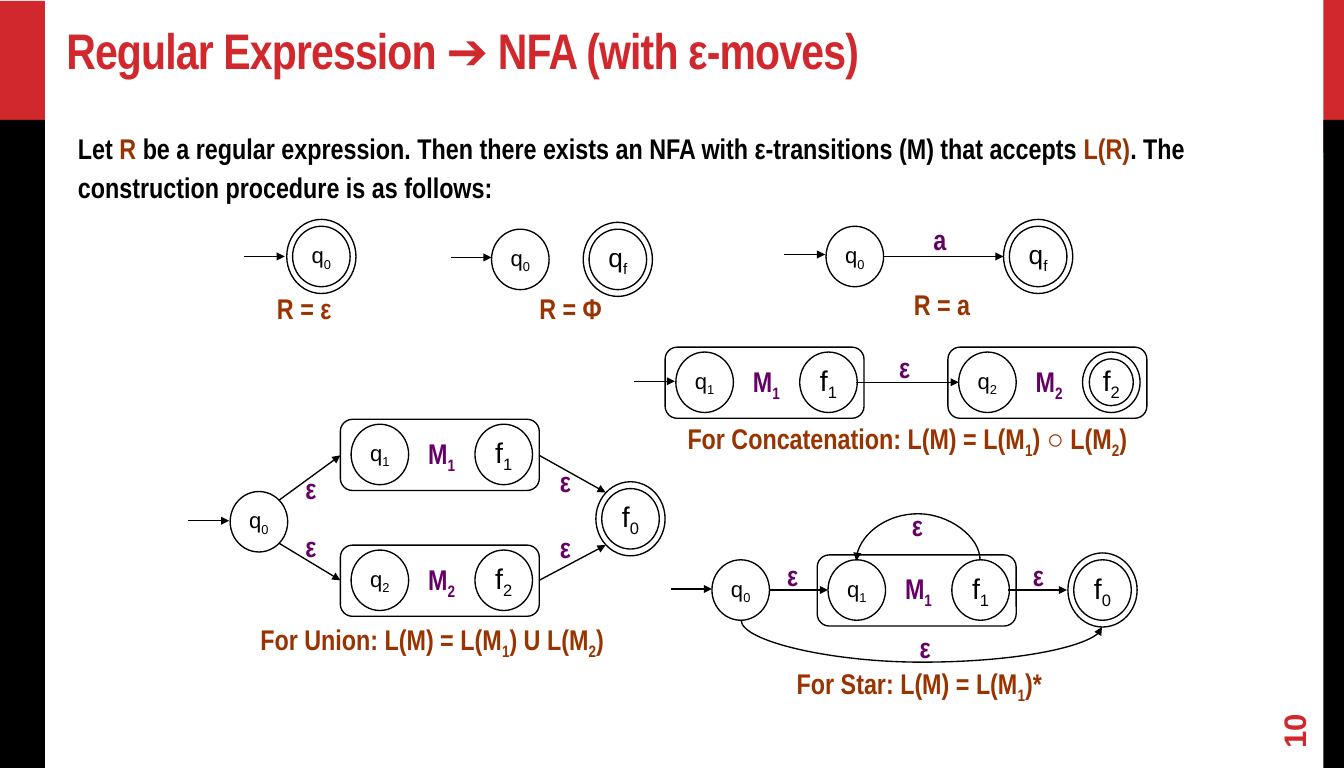
import pptx
import pptx.util
import pptx.dml.color
import pptx.enum.shapes
import pptx.enum.text
import pptx.oxml
import pptx.oxml.ns

Inches = pptx.util.Inches
SHAPES = pptx.enum.shapes.MSO_SHAPE
CONNECTORS = pptx.enum.shapes.MSO_CONNECTOR
ALIGN = pptx.enum.text.PP_ALIGN
ANCHOR = pptx.enum.text.MSO_ANCHOR

THEME = {
    "red": "D1282E", "black": "000000", "brown": "993300", "purple": "660066",
    "narrow": "Arial Narrow", "sans": "Arial",
    "title": 36.9, "body": 21, "page": 23, "line": 1,
    "start": 16.3, "final": 19.4, "large": 21,
}

# Content: "_" lowers the next character, "|" switches the accent colour
TITLE = "Regular Expression ➔ NFA (with ε-moves)"
INTRO = ("Let |R |be a regular expression. Then there exists an NFA with ε-transitions (M) "
         "that accepts |L(R)|. The construction procedure is as follows:")
PAGE_NUMBER = "10"

SIDEBARS = [(13.57, 0, 0.22), (0, 0.01, 0.46)]  # left, top, width
# label, left, top, type size, mark of acceptance
STATES = [
    ("q_0", 3, 2.32, "start", "outer"),
    ("q_0", 5.04, 2.35, "start", None), ("q_f", 6.04, 2.35, "final", "outer"),
    ("q_0", 8.47, 2.32, "start", None), ("q_f", 10.35, 2.32, "final", "outer"),
    ("q_0", 2.36, 5.04, "start", None), ("f_0", 6.17, 5.01, "large", "outer"),
    ("q_0", 7.3, 5.74, "start", None), ("f_0", 11.01, 5.74, "large", "outer"),
]
# number, left, top, mark of acceptance on the last state
MACHINES = [
    (1, 3.49, 4.3, None), (2, 3.49, 5.59, None),
    (1, 6.82, 3.56, None), (2, 9.72, 3.56, "inner"),
    (1, 8.38, 5.69, None),
]
ENTRIES = [(2.5, 2.63), (4.62, 2.64), (8.04, 2.61), (1.93, 5.34), (6.5, 3.91), (6.88, 6.04)]
TRANSITIONS = [
    (9.06, 2.63, 10.29, 2.63),
    (2.86, 5.13, 3.49, 4.67), (2.86, 5.57, 3.49, 5.95),
    (5.53, 4.67, 6.21, 5.05), (5.53, 5.95, 6.21, 5.59),
    (8.78, 3.92, 9.83, 3.92),
    (7.89, 6.05, 8.49, 6.05), (10.34, 6.05, 10.94, 6.05),
]
# start, end, downward bow
LOOPS = [((10.05, 5.74), (8.78, 5.75), -0.48), ((7.6, 6.36), (11.3, 6.43), 0.43)]
EDGE_LABELS = [("a", 9.48, 2.23, 0.34)] + [
    ("ε", left, top, 0.32) for left, top in [
        (3.04, 4.78), (3.04, 5.38), (5.65, 4.71), (5.65, 5.39), (9.13, 3.54),
        (7.98, 5.67), (9.26, 5.16), (10.5, 5.67), (9.34, 6.41)]
]
CAPTIONS = [
    ("R = ε", 2.75, 2.94, 0.69), ("R = Φ", 5.44, 2.94, 0.77), ("R = a", 9.28, 2.89, 0.71),
    ("For Union: L(M) = L(M_1) U L(M_2)", 2.58, 6.33, 3.75),
    ("For Concatenation: L(M) = L(M_1) ○ L(M_2)", 6.96, 4.27, 4.73),
    ("For Star: L(M) = L(M_1)*", 8.08, 6.78, 2.73),
]

SLIDE_HEIGHT = 63 / 8
SLIDE_WIDTH = SLIDE_HEIGHT * 7 / 4
STATE_SIZE = (0.59, 0.62)
RING_INSETS = {"outer": -0.06, "inner": 0.07}
LABEL_HEIGHT = 0.46
ENTRY_LENGTH = 0.42
# left, top, right, bottom
LABEL_INSETS = (0.09, 0.05, 0.02, 0.05)
BODY_INSETS = (0.11, 0.06, 0.11, 0.06)

presentation = pptx.Presentation()
presentation.slide_width = Inches(SLIDE_WIDTH)
presentation.slide_height = Inches(SLIDE_HEIGHT)
slide = presentation.slides.add_slide(presentation.slide_layouts[6])


def rgb(name):
    return pptx.dml.color.RGBColor.from_string(THEME[name])


def write(shape, text, size="body", font="narrow", color="black", accent="brown", bold=True,
          align=ALIGN.LEFT, anchor=ANCHOR.TOP, wrap=False, insets=LABEL_INSETS, spacing=None):
    frame = shape.text_frame
    frame.word_wrap = wrap
    frame.vertical_anchor = anchor
    (frame.margin_left, frame.margin_top,
     frame.margin_right, frame.margin_bottom) = map(Inches, insets)
    paragraph = frame.paragraphs[0]
    paragraph.alignment = align

    def add_run(words, tint, lowered=False):
        if not words:
            return
        run = paragraph.add_run()
        run.text = words
        run.font.name, run.font.bold = THEME[font], bold
        run.font.size = pptx.util.Pt(THEME[size])
        run.font.color.rgb = rgb(tint)
        properties = run._r.get_or_add_rPr()
        if lowered:
            properties.set("baseline", "-25000")
        if spacing:
            properties.set("spc", str(spacing))

    for index, part in enumerate(text.split("|")):
        tint = accent if index % 2 else color
        first, *lowered_parts = part.split("_")
        add_run(first, tint)
        for piece in lowered_parts:
            add_run(piece[0], tint, lowered=True)
            add_run(piece[1:], tint)
    return paragraph


def add_text(text, left, top, width, height=LABEL_HEIGHT, **text_format):
    box = slide.shapes.add_textbox(Inches(left), Inches(top), Inches(width), Inches(height))
    return box, write(box, text, **text_format)


def add_shape(kind, left, top, width, height, fill=None):
    shape = slide.shapes.add_shape(kind, Inches(left), Inches(top), Inches(width), Inches(height))
    shape.shadow.inherit = False
    if fill:
        shape.fill.solid()
        shape.fill.fore_color.rgb = rgb(fill)
        shape.line.fill.background()
    else:
        shape.fill.background()
        shape.line.color.rgb = rgb("black")
        shape.line.width = pptx.util.Pt(THEME["line"])
    return shape


def add_state(label, left, top, size, ring=None):
    width, height = STATE_SIZE
    state = add_shape(SHAPES.OVAL, left, top, width, height)
    write(state, label, size=size, font="sans", bold=False, align=ALIGN.CENTER,
          anchor=ANCHOR.MIDDLE, insets=(0, 0, 0, 0))
    if ring:
        inset = RING_INSETS[ring]
        add_shape(SHAPES.OVAL, left + inset, top + inset - 0.01 * (ring == "outer"),
                  width - 2 * inset, height - 2 * inset + 0.02 * (ring == "outer"))


def add_machine(number, left, top, ring):
    box = add_shape(SHAPES.ROUNDED_RECTANGLE, left, top, 2.04, 0.73)
    box.adjustments[0] = 0.17
    add_state(f"q_{number}", left + 0.11, top + 0.05, "start")
    add_state(f"f_{number}", left + 1.38, top + 0.05, "large", ring)
    add_text(f"M_{number}", left + 0.81, top + 0.12, 0.5, color="purple")


def add_arrow(x1, y1, x2, y2, kind=CONNECTORS.STRAIGHT):
    arrow = slide.shapes.add_connector(kind, Inches(x1), Inches(y1), Inches(x2), Inches(y2))
    arrow.line.color.rgb = rgb("black")
    arrow.line.width = pptx.util.Pt(THEME["line"])
    head = pptx.oxml.parse_xml(f'<a:tailEnd {pptx.oxml.ns.nsdecls("a")} type="triangle"/>')
    arrow.line._get_or_add_ln().append(head)
    arrow._element.spPr.append(
        pptx.oxml.parse_xml(f'<a:effectLst {pptx.oxml.ns.nsdecls("a")}/>'))
    return arrow


def add_loop(start, end, bow):
    """Curved arrow, turned a quarter so that it leaves and arrives vertically."""
    (x1, y1), (x2, y2) = start, end
    middle_x, middle_y = (x1 + x2) / 2, (y1 + y2) / 2
    drop, run = y2 - y1, x2 - x1
    arrow = add_arrow(middle_x + drop / 2, middle_y - run / 2,
                      middle_x - drop / 2, middle_y + run / 2, CONNECTORS.CURVE)
    properties = arrow._element.spPr
    properties.find(pptx.oxml.ns.qn("a:xfrm")).set("rot", str(270 * 60000))
    geometry = properties.find(pptx.oxml.ns.qn("a:prstGeom"))
    for guides in geometry.findall(pptx.oxml.ns.qn("a:avLst")):
        geometry.remove(guides)
    geometry.append(pptx.oxml.parse_xml(
        f'<a:avLst {pptx.oxml.ns.nsdecls("a")}>'
        f'<a:gd name="adj1" fmla="val {round(bow / drop * 100000)}"/></a:avLst>'))


# Sidebars
for left, top, width in SIDEBARS:
    add_shape(SHAPES.RECTANGLE, left, top, width, 1.57, fill="red")
    add_shape(SHAPES.RECTANGLE, left, 1.23, width, 6.65, fill="black")

# Title, introduction and page number
add_text(TITLE, 0.57, 0.18, 12.86, 0.7, size="title", color="red", anchor=ANCHOR.BOTTOM,
         wrap=True, insets=BODY_INSETS, spacing=-64)
_, intro = add_text(INTRO, 0.69, 1.23, 12.63, 5.81, wrap=True, insets=BODY_INSETS)
intro.line_spacing = 1.15
intro.space_before = pptx.util.Pt(4.2)
intro.space_after = pptx.util.Pt(6.8)
page, _ = add_text(PAGE_NUMBER, 12.86, 7.21, 0.81, 0.34, size="page", font="sans", color="red",
                   anchor=ANCHOR.MIDDLE, wrap=True, insets=BODY_INSETS)
page.rotation = 270

# Automata
for machine in MACHINES:
    add_machine(*machine)
for state in STATES:
    add_state(*state)
for x, y in ENTRIES:
    add_arrow(x, y, x + ENTRY_LENGTH, y)
for transition in TRANSITIONS:
    add_arrow(*transition)
for loop in LOOPS:
    add_loop(*loop)

# Labels
for label in EDGE_LABELS:
    add_text(*label, color="purple")
for caption in CAPTIONS:
    add_text(*caption, color="brown")

presentation.save("out.pptx")
